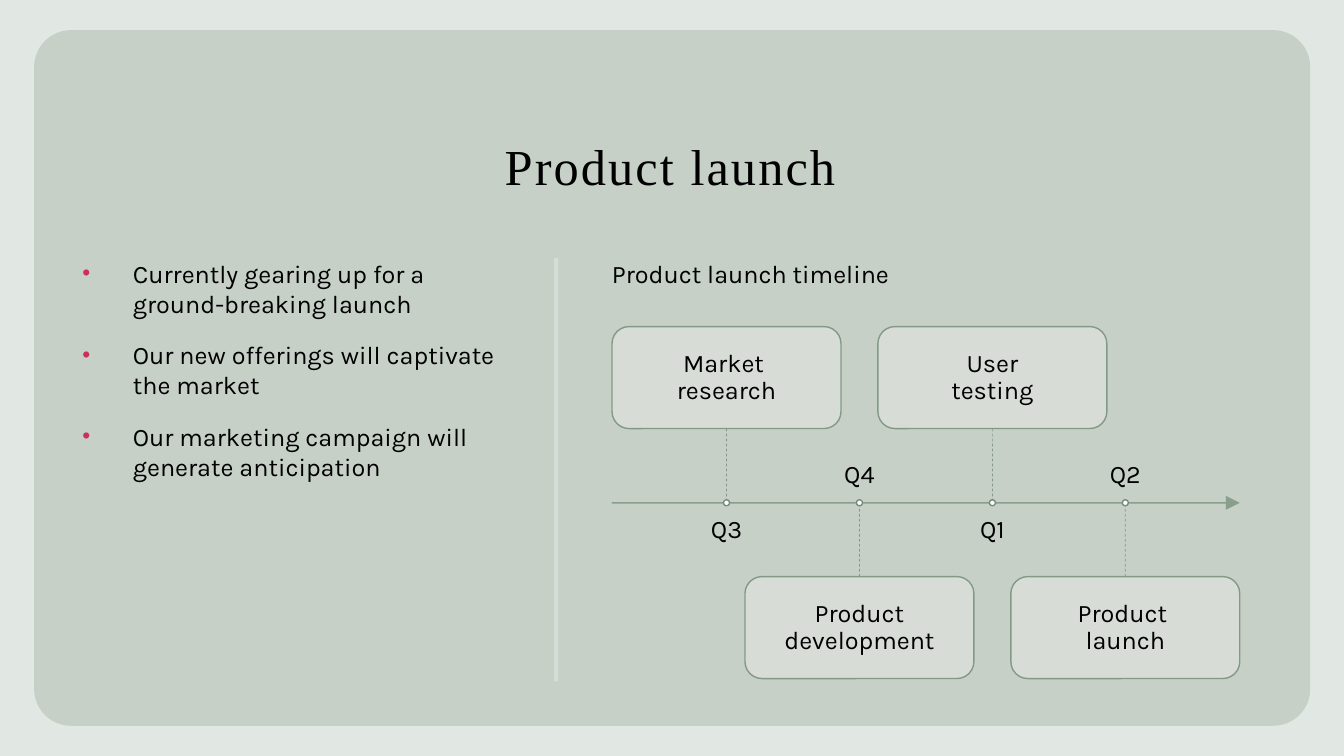
import lxml.etree
import pptx
import pptx.dml.color
import pptx.enum.dml
import pptx.enum.shapes
import pptx.enum.text
import pptx.oxml.ns
import pptx.util

Cm, Pt = pptx.util.Cm, pptx.util.Pt
RGB = pptx.dml.color.RGBColor.from_string
qn = pptx.oxml.ns.qn
ANCHOR = pptx.enum.text.MSO_ANCHOR
ALIGN = pptx.enum.text.PP_ALIGN
SHAPE = pptx.enum.shapes.MSO_SHAPE
STRAIGHT = pptx.enum.shapes.MSO_CONNECTOR.STRAIGHT

COLOURS = {
    "background": "E1E7E2", "panel": "B5C2B6", "divider": "E6EBE7",
    "box": "D9DED9", "line": "839985", "dot": "FFFFFF",
    "dot line": "778B79", "bullet": "CC3059", "text": "000000",
}


def set_text(shape, lines, font="Karla", size=18, align=ALIGN.LEFT,
             anchor=ANCHOR.TOP, inset=0, line_spacing=None, bullets=False):
    """Fill the shape with one paragraph per line, all in the same style."""
    frame = shape.text_frame
    frame.word_wrap = True
    frame.vertical_anchor = anchor
    frame.margin_left = frame.margin_right = Cm(inset)
    frame.margin_top = frame.margin_bottom = Cm(inset)
    for index, line in enumerate(lines):
        paragraph = frame.add_paragraph() if index else frame.paragraphs[0]
        paragraph.text = line
        if bullets:
            properties = paragraph._p.get_or_add_pPr()
            properties.set("marL", str(Cm(1.27)))
            properties.set("indent", str(-Cm(1.27)))
            colour = lxml.etree.SubElement(properties, qn("a:buClr"))
            lxml.etree.SubElement(colour, qn("a:srgbClr"), val=COLOURS["bullet"])
            lxml.etree.SubElement(properties, qn("a:buSzPct"), val="90000")
            lxml.etree.SubElement(properties, qn("a:buFont"), typeface="Arial")
            lxml.etree.SubElement(properties, qn("a:buChar"), char="•")
        if index:
            paragraph.space_before = Pt(15)
        paragraph.alignment = align
        paragraph.line_spacing = line_spacing
        paragraph.font.name = font
        paragraph.font.size = Pt(size)
        paragraph.font.color.rgb = RGB(COLOURS["text"])


def style(shape, line=None, width=1, fill=None, opacity=100):
    """Set line and fill, drop the shadow, and make every colour this opaque."""
    if line:
        shape.line.color.rgb = RGB(COLOURS[line])
        shape.line.width = Pt(width)
    else:
        shape.line.fill.background()
    if fill:
        shape.fill.solid()
        shape.fill.fore_color.rgb = RGB(COLOURS[fill])
        shape.shadow.inherit = False
        colour = shape.fill._xPr.find(f"{qn('a:solidFill')}/{qn('a:srgbClr')}")
    else:
        colour = shape.line._ln.find(f"{qn('a:solidFill')}/{qn('a:srgbClr')}")
        lxml.etree.SubElement(shape._element.spPr, qn("a:effectLst"))
    if opacity < 100:
        lxml.etree.SubElement(colour, qn("a:alpha"), val=str(opacity * 1000))


presentation = pptx.Presentation()
presentation.slide_width, presentation.slide_height = Cm(33.87), Cm(19.05)
slide = presentation.slides.add_slide(presentation.slide_layouts[6])
slide.background.fill.solid()
slide.background.fill.fore_color.rgb = RGB(COLOURS["background"])
shapes = slide.shapes

# Panel, divider and texts
panel = shapes.add_shape(SHAPE.ROUNDED_RECTANGLE, Cm(0.86), Cm(0.76), Cm(32.16), Cm(17.53))
panel.adjustments[0] = 0.053
style(panel, fill="panel", opacity=60)

divider = shapes.add_connector(STRAIGHT, Cm(14.02), Cm(6.5), Cm(14.02), Cm(17.17))
style(divider, line="divider", width=3, opacity=50)

title = shapes.add_textbox(Cm(2.03), Cm(2.03), Cm(29.72), Cm(3.05))
set_text(title, ["Product launch"], font="Times New Roman", size=36,
         align=ALIGN.CENTER, anchor=ANCHOR.BOTTOM, inset=0.13, line_spacing=0.9)
title.text_frame.paragraphs[0].runs[0]._r.get_or_add_rPr().set("spc", "150")

points = shapes.add_textbox(Cm(2.08), Cm(6.5), Cm(10.69), Cm(10.67))
set_text(points, [
    "Currently gearing up for a ground-breaking launch",
    "Our new offerings will captivate the market",
    "Our marketing campaign will generate anticipation",
], bullets=True)

heading = shapes.add_textbox(Cm(15.42), Cm(6.5), Cm(16.15), Cm(1.24))
set_text(heading, ["Product launch timeline"])

# Timeline: boxes alternate above and below the axis, labels on the other side
AXIS_Y = 12.67
FIRST_X, STEP = 18.31, 3.35
BOX_WIDTH, BOX_HEIGHT = 5.77, 2.57
LABEL_WIDTH, LABEL_HEIGHT, LABEL_GAP = 5.08, 1.12, 0.36
DOT = 0.15

axis = shapes.add_connector(STRAIGHT, Cm(15.42), Cm(AXIS_Y), Cm(31.24), Cm(AXIS_Y))
style(axis, line="line", opacity=90)
lxml.etree.SubElement(axis.line._ln, qn("a:tailEnd"), type="triangle", w="lg", len="lg")

milestones = [
    ("Q3", "Market \vresearch"),
    ("Q4", "Product development"),
    ("Q1", "User\vtesting"),
    ("Q2", "Product \vlaunch"),
]
for index, (quarter, step_name) in enumerate(milestones):
    centre = FIRST_X + index * STEP
    above = index % 2 == 0
    box_top = 8.23 if above else 14.53
    box = shapes.add_shape(SHAPE.ROUNDED_RECTANGLE, Cm(centre - BOX_WIDTH / 2),
                           Cm(box_top), Cm(BOX_WIDTH), Cm(BOX_HEIGHT))
    style(box, line="line", fill="box", opacity=90)
    set_text(box, [step_name], align=ALIGN.CENTER, anchor=ANCHOR.MIDDLE,
             inset=0.43, line_spacing=0.9)

    stem = shapes.add_connector(STRAIGHT, Cm(centre), Cm(box_top), Cm(centre), Cm(AXIS_Y))
    stem.begin_connect(box, 2 if above else 0)
    style(stem, line="line", width=0.5)
    stem.line.dash_style = pptx.enum.dml.MSO_LINE.DASH

    dot = shapes.add_shape(SHAPE.OVAL, Cm(centre - DOT / 2), Cm(AXIS_Y - DOT / 2),
                           Cm(DOT), Cm(DOT))
    style(dot, line="dot line", fill="dot")

    label_top = AXIS_Y + LABEL_GAP if above else AXIS_Y - LABEL_GAP - LABEL_HEIGHT
    label = shapes.add_textbox(Cm(centre - LABEL_WIDTH / 2), Cm(label_top),
                               Cm(LABEL_WIDTH), Cm(LABEL_HEIGHT))
    set_text(label, [quarter], align=ALIGN.CENTER, line_spacing=0.9,
             anchor=ANCHOR.TOP if above else ANCHOR.BOTTOM)

presentation.save("out.pptx")
